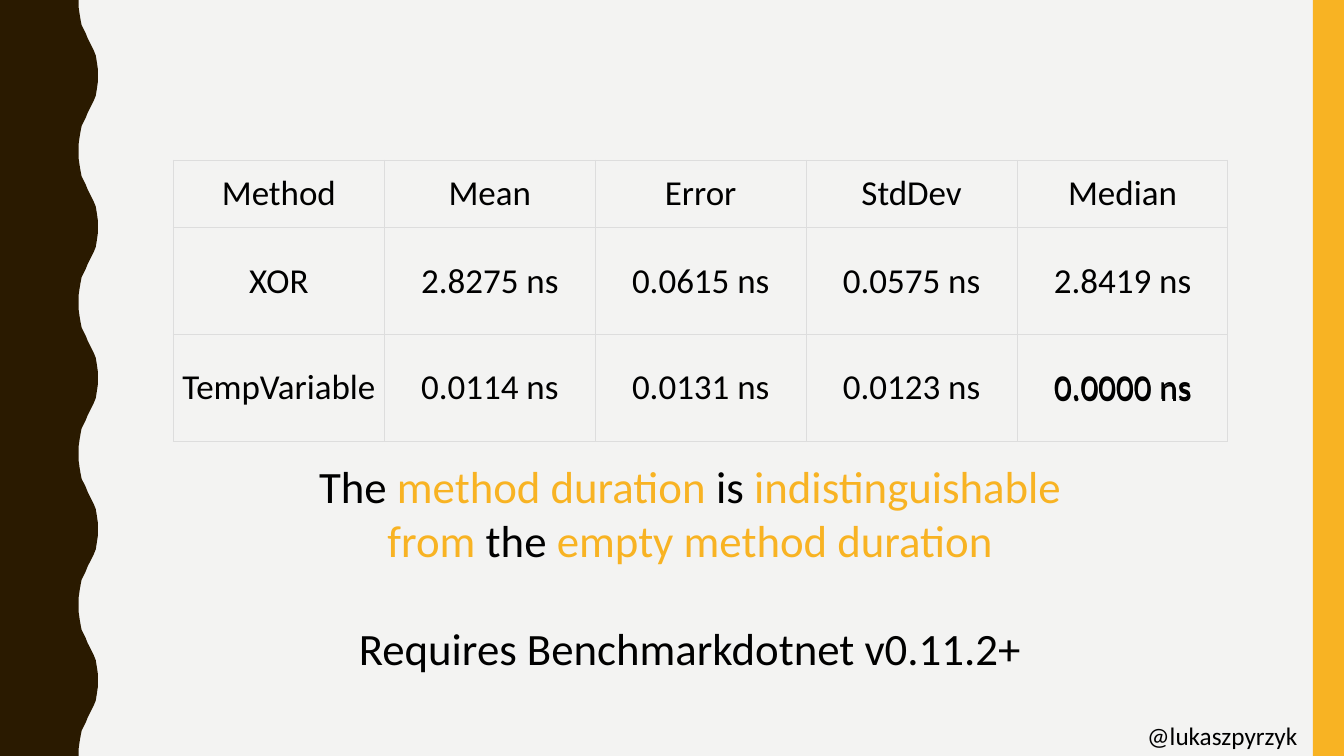
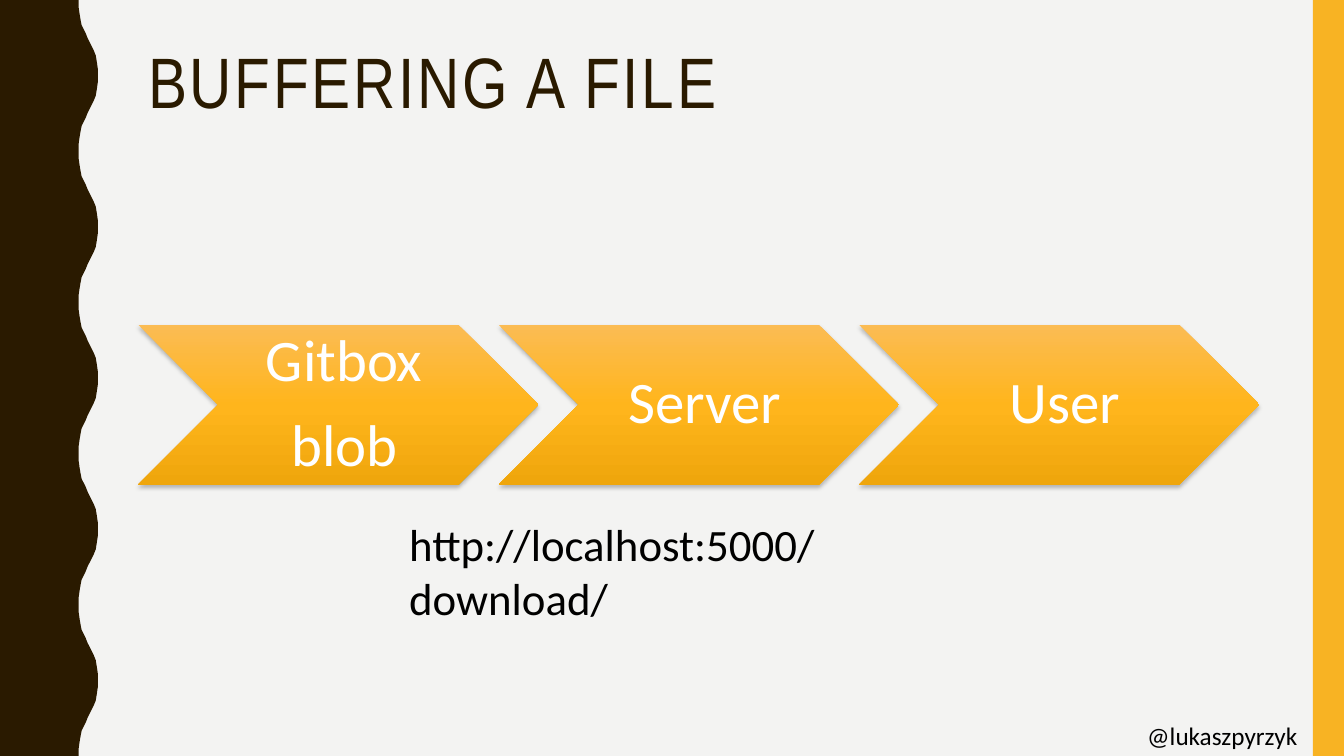
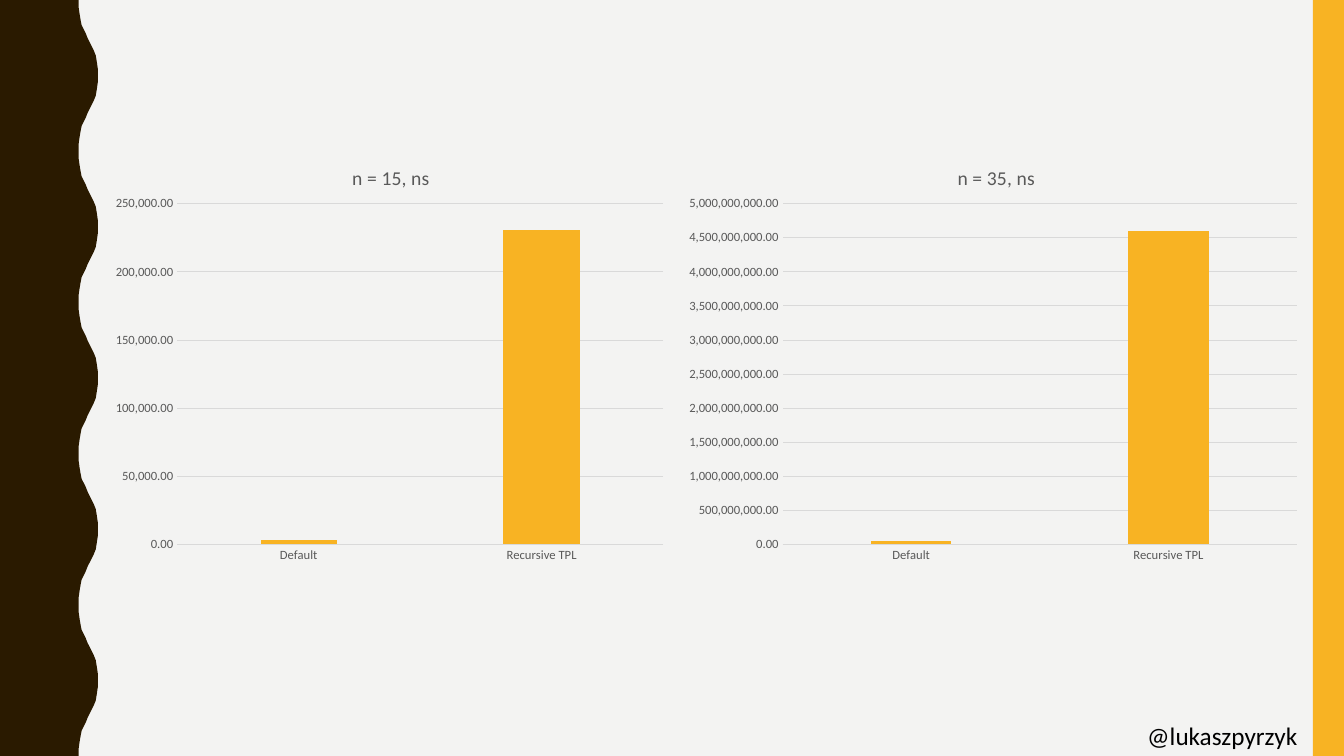
import lxml.etree
import pptx
import pptx.chart.data
import pptx.dml.color
import pptx.enum.chart
import pptx.enum.shapes
import pptx.enum.text
import pptx.oxml
import pptx.oxml.ns
import pptx.util

Inches, Pt = pptx.util.Inches, pptx.util.Pt
RGB = pptx.dml.color.RGBColor.from_string
ALIGN = pptx.enum.text.PP_ALIGN
MIDDLE = pptx.enum.text.MSO_ANCHOR.MIDDLE
SHAPE = pptx.enum.shapes.MSO_SHAPE
qn = pptx.oxml.ns.qn
A_NS = pptx.oxml.ns.nsdecls("a")
C_NS = pptx.oxml.ns.nsdecls("c")


class Theme:
    paper = RGB("F3F3F2")
    brown = RGB("2A1A00")
    amber = RGB("F8B323")
    black = RGB("000000")
    white = RGB("FFFFFF")
    grey = RGB("595959")
    grid = RGB("D9D9D9")
    border = "DDDDDD"
    gradient = ((0, "FBBC54"), (50, "FFB51C"), (100, "EFA60C"))
    body_font = "Calibri"
    title_font = "Arial Narrow"
    title, step, body, table, footer = Pt(51), Pt(42), Pt(32), Pt(25), Pt(18)
    chart_title, axis = Pt(14), Pt(9)


def style(p, size, color=Theme.black, align=None, name=Theme.body_font):
    p.alignment = align
    p.font.size = size
    p.font.name = name
    p.font.color.rgb = color


def add_text(s, box, text, size, **kw):
    sp = s.shapes.add_textbox(*[Inches(v) for v in box])
    sp.text_frame.word_wrap = True
    p = sp.text_frame.paragraphs[0]
    p.text = text
    style(p, size, **kw)
    return sp.text_frame


prs = pptx.Presentation()
prs.slide_width, prs.slide_height = Inches(13.33), Inches(7.5)
fill = prs.slide_master.background.fill
fill.solid()
fill.fore_color.rgb = Theme.paper

period = 1.5
rise = [(0.78, 0), (0.78, 0.07), (0.79, 0.14), (0.8, 0.2), (0.81, 0.25),
        (0.83, 0.29), (0.85, 0.33), (0.87, 0.38), (0.89, 0.42), (0.91, 0.46),
        (0.93, 0.5), (0.95, 0.55), (0.96, 0.61), (0.97, 0.68), (0.97, 0.75)]
wave = rise + [(x, period - y) for x, y in reversed(rise[:-1])]
edge = [(x, y + i * period) for i in range(5) for x, y in wave]

slides = []
for _ in range(3):
    s = prs.slides.add_slide(prs.slide_layouts[6])
    fb = s.shapes.build_freeform(0, 0)
    fb.add_line_segments([(Inches(x), Inches(y)) for x, y in edge + [(0, 7.5)]])
    left_wave = fb.convert_to_shape()
    right_band = s.shapes.add_shape(
        SHAPE.RECTANGLE, Inches(13.02), 0, Inches(0.31), Inches(7.5))
    for sp, color in ((left_wave, Theme.brown), (right_band, Theme.amber)):
        sp.shadow.inherit = False
        sp.fill.solid()
        sp.fill.fore_color.rgb = color
        sp.line.fill.background()
    add_text(s, (11.28, 7.1, 2.05, 0.4), "@lukaszpyrzyk", Theme.footer)
    slides.append(s)
results, buffering, timings = slides

rows = [("Method", "Mean", "Error", "StdDev", "Median"),
        ("XOR", "2.8275 ns", "0.0615 ns", "0.0575 ns", "2.8419 ns"),
        ("TempVariable", "0.0114 ns", "0.0131 ns", "0.0123 ns", "0.0000 ns")]
table = results.shapes.add_table(
    3, 5, Inches(1.72), Inches(1.59), Inches(10.46), Inches(2.79)).table
table.first_row = table.horz_banding = False
for row, height in zip(table.rows, (0.67, 1.06, 1.06)):
    row.height = Inches(height)
for i, values in enumerate(rows):
    for j, value in enumerate(values):
        cell = table.cell(i, j)
        cell.text = value
        cell.vertical_anchor = MIDDLE
        cell.margin_left = cell.margin_right = Inches(0.08)
        cell.margin_top = cell.margin_bottom = Inches(0.04)
        style(cell.text_frame.paragraphs[0], Theme.table, align=ALIGN.CENTER)
        cell.fill.background()
        tcPr = cell._tc.get_or_add_tcPr()
        for k, side in enumerate("LRTB"):
            tcPr.insert(k, pptx.oxml.parse_xml(
                f'<a:ln{side} {A_NS} w="{Pt(0.75)}"><a:solidFill>'
                f'<a:srgbClr val="{Theme.border}"/></a:solidFill></a:ln{side}>'))

tf = add_text(results, (10.36, 3.59, 1.56, 0.52), "0.0000 ns", Theme.table,
              align=ALIGN.CENTER)
tf.word_wrap = False

tf = add_text(results, (2.97, 4.5, 7.75, 2.26), "", Theme.body, align=ALIGN.CENTER)
for text, color in (("The ", Theme.black), ("method duration ", Theme.amber),
                    ("is ", Theme.black), ("indistinguishable from", Theme.amber),
                    (" the ", Theme.black), ("empty method duration", Theme.amber)):
    r = tf.paragraphs[0].add_run()
    r.text = text
    r.font.color.rgb = color
    r.font.size = Theme.body
    r.font.name = Theme.body_font
p = tf.add_paragraph()
p.text = "Requires Benchmarkdotnet v0.11.2+"
p.space_before = Pt(39)
style(p, Theme.body, align=ALIGN.CENTER)

tf = add_text(buffering, (1.37, 0.42, 11.13, 1.63), "BUFFERING A FILE", Theme.title,
              color=Theme.brown, name=Theme.title_font)
p = tf.paragraphs[0]
p.line_spacing = 0.9
p.runs[0]._r.get_or_add_rPr().set("spc", "200")

stops = "".join(f'<a:gs pos="{pos * 1000}"><a:srgbClr val="{color}"/></a:gs>'
                for pos, color in Theme.gradient)
for i, lines in enumerate((("Gitbox", "blob"), ("Server",), ("User",))):
    sp = buffering.shapes.add_shape(SHAPE.CHEVRON, Inches(1.37 + i * 3.575), Inches(3.22),
                                    Inches(3.97), Inches(1.59))
    sp.line.fill.background()
    spPr = sp._element.spPr
    spPr.insert(2, pptx.oxml.parse_xml(
        f'<a:gradFill {A_NS} rotWithShape="1"><a:gsLst>{stops}</a:gsLst>'
        '<a:lin ang="5400000" scaled="0"/></a:gradFill>'))
    spPr.append(pptx.oxml.parse_xml(
        f'<a:effectLst {A_NS}><a:outerShdw blurRad="{Pt(3)}" dist="{Pt(2)}" dir="5400000"'
        ' rotWithShape="0"><a:srgbClr val="000000"><a:alpha val="25000"/></a:srgbClr>'
        '</a:outerShdw></a:effectLst>'))
    tf = sp.text_frame
    tf.word_wrap = True
    tf.vertical_anchor = MIDDLE
    tf.margin_left = Inches(0.18)
    tf.margin_top = tf.margin_right = tf.margin_bottom = Inches(0.06)
    tf.text = "\n".join(lines)
    for p in tf.paragraphs:
        p.line_spacing = 0.9
        p.space_after = Pt(15)
        style(p, Theme.step, Theme.white, ALIGN.CENTER)

add_text(buffering, (3.96, 5.08, 5.96, 0.64), "http://localhost:5000/download/", Theme.body)

charts = [
    ("n = 15, ns", 1.02, 5.67, (3000, 231000), 250000, 50000, 0.43, (0.13, 0.85)),
    ("n = 35, ns", 6.69, 6.3, (50000000, 4600000000), 5000000000, 500000000,
     0.44, (0.17, 0.81)),
]
for title, left, width, values, top, unit, title_x, (plot_x, plot_w) in charts:
    data = pptx.chart.data.CategoryChartData(number_format="#,##0.00")
    data.categories = ["Default", "Recursive TPL"]
    data.add_series("Series 1", values)
    chart = timings.shapes.add_chart(
        pptx.enum.chart.XL_CHART_TYPE.COLUMN_CLUSTERED, Inches(left), Inches(1.38),
        Inches(width), Inches(4.28), data).chart
    chart.has_legend = False
    chart.font.name = Theme.body_font
    chart.font.size = Theme.axis
    chart.font.color.rgb = Theme.grey
    chart.has_title = True
    p = chart.chart_title.text_frame.paragraphs[0]
    p.text = title
    style(p, Theme.chart_title, Theme.grey)
    p.font.bold = False

    plot = chart.plots[0]
    plot.gap_width, plot.overlap = 219, -27
    plot.vary_by_categories = False
    bars = plot.series[0].format.fill
    bars.solid()
    bars.fore_color.rgb = Theme.amber

    cat, val = chart.category_axis, chart.value_axis
    for axis in (cat, val):
        axis.major_tick_mark = axis.minor_tick_mark = pptx.enum.chart.XL_TICK_MARK.NONE
    val.minimum_scale, val.maximum_scale, val.major_unit = 0, top, unit
    val.tick_labels.number_format = "#,##0.00"
    val.tick_labels.number_format_is_linked = False
    val.format.line.fill.background()
    for line in (cat.format.line, val.major_gridlines.format.line):
        line.color.rgb = Theme.grid
        line.width = Pt(0.75)

    title_el = chart.chart_title._element
    plot_el = chart._chartSpace.chart.plotArea
    for el, index, target, place in (
            (title_el, 1, "", {"x": title_x, "y": 0.05}),
            (plot_el, 0, '<c:layoutTarget val="inner"/>',
             {"x": plot_x, "y": 0.15, "w": plot_w, "h": 0.79})):
        for old in el.findall(qn("c:layout")):
            el.remove(old)
        modes = "".join(f'<c:{k}Mode val="edge"/>' for k in "xy")
        sizes = "".join(f'<c:{k} val="{v}"/>' for k, v in place.items())
        el.insert(index, pptx.oxml.parse_xml(
            f'<c:layout {C_NS}><c:manualLayout>{target}{modes}{sizes}'
            '</c:manualLayout></c:layout>'))

prs.save("out.pptx")
